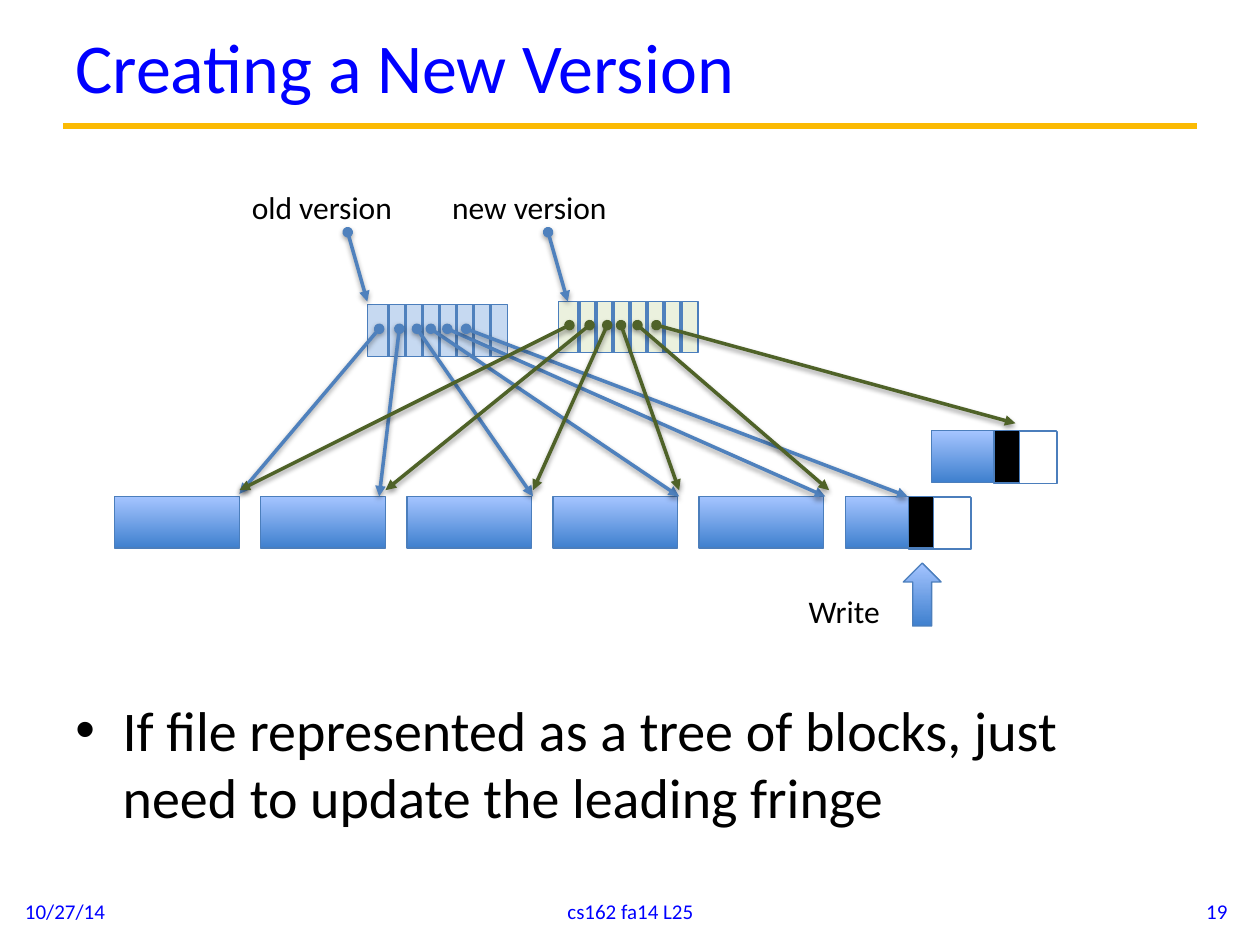
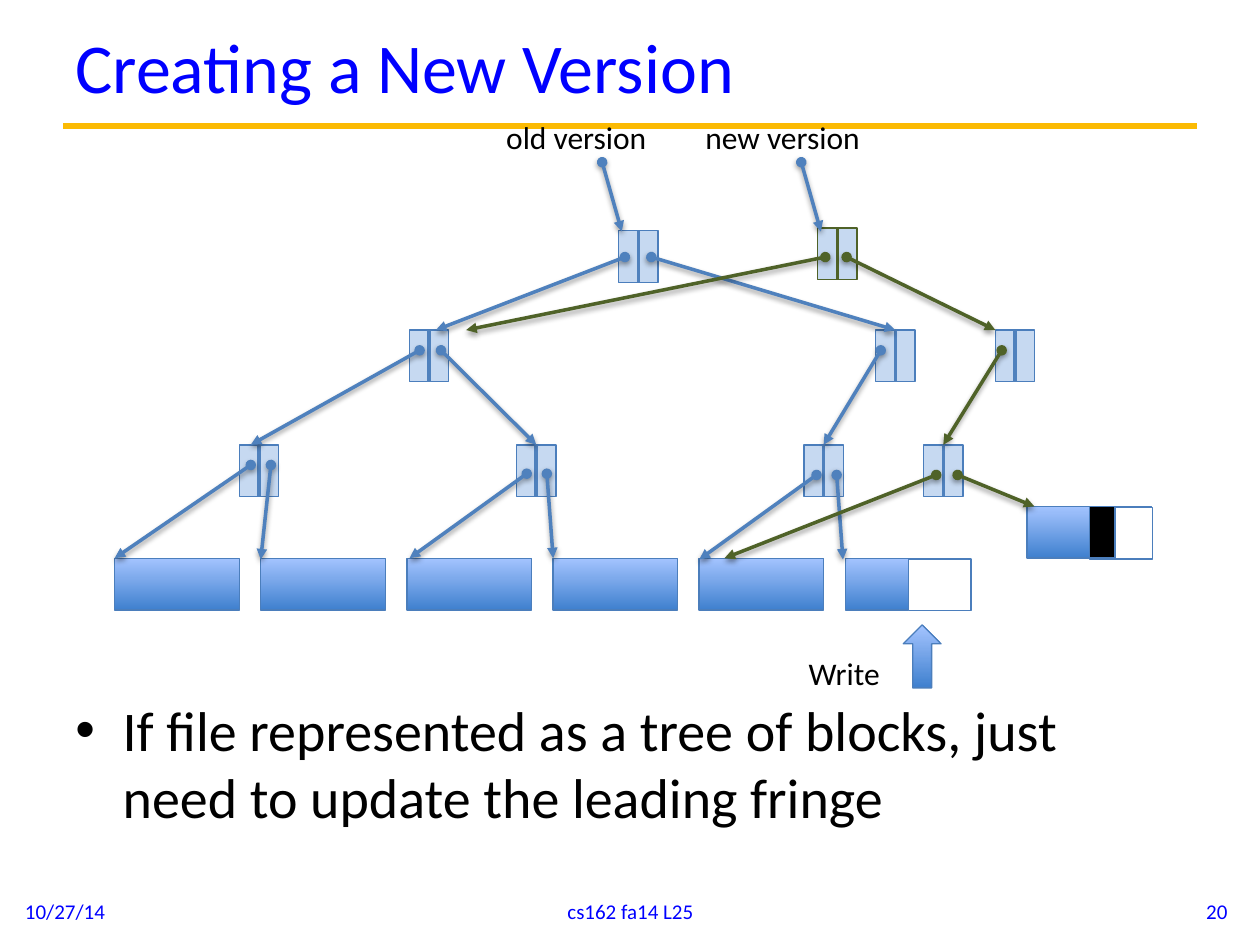
"""Two slides on versioned files: a flat block index and a block tree."""
from pptx import Presentation
from pptx import util as u
from pptx.dml.color import RGBColor
from pptx.enum import shapes, text
from pptx.oxml import parse_xml
from pptx.oxml.ns import nsdecls, qn
from lxml import etree

COLORS = {
    "title": "0000FF", "rule": "FBBA03", "ink": "000000", "paper": "FFFFFF",
    "edge": "4B7EBC", "old": "4F81BD", "new": "4F6228",
    "old_index": "C6D9F1", "new_index": "EBF1DE",
    "block_low": "3F80CE", "block_high": "A4C4FF",
}
FONT = "Calibri"
TITLE = "Creating a New Version"
POINT = "If file represented as a tree of blocks, just need to update the leading fringe"
DATE, COURSE = "10/27/14", "cs162 fa14 L25"

BLOCK_COUNT, BLOCK_LEFT, BLOCK_STEP = 6, 65.5, 83.5
BLOCK_WIDTH, HEIGHT, HALF = 71.3, 29.5, 36
WRITTEN_WIDTH = 14.4
INDEX_WIDTH, INDEX_CELLS, FIRST_CELL, CELL_STEP = 79.9, 8, 11.8, 9.72
NODE_WIDTH = 22.5

INDEX_SLOTS = [216.7, 228.2, 238.3, 246.2, 255.6, 266.4]
NEW_INDEX_SHIFT = 108.7
OLD_TIPS = [(136.8, 282.2), (216.7, 283.7), (304.6, 283.7), (388.1, 283.7),
            (471.6, 283.7), "last block"]
NEW_TIPS = [(136.8, 280.1), (220.3, 280.1), (304.6, 280.1), (388.1, 280.1),
            (473.8, 280.1), (580.3, 241.9)]

FLAT = {
    "number": "19", "block_top": 283.7, "fringe": (532.1, 246.2), "written": True,
    "labels": [("old version", 136.8, 103.7, 95.8), ("new version", 251.3, 103.7, 104.4)],
    "indexes": [(210.2, 174.2, "old_index"), (319, 172.1, "new_index")],
    "nodes": {},
    "pointers": {
        "old": [((slot, 187.9), tip) for slot, tip in zip(INDEX_SLOTS, OLD_TIPS)],
        "new": [((slot + NEW_INDEX_SHIFT, 185.8), tip)
                for slot, tip in zip(INDEX_SLOTS, NEW_TIPS)],
    },
}
TREE = {
    "number": "20", "block_top": 319, "fringe": (586.8, 289.4), "written": False,
    "labels": [("old version", 282.2, 63.7, 95.8), ("new version", 396, 63.7, 104.4)],
    "indexes": [],
    "nodes": {
        "old root": (353.5, 131.8, "edge", "old"),
        "new root": (467.3, 130.3, "new", "new"),
        "left": (234, 188.6, "edge", "old"),
        "old right": (500.4, 188.6, "edge", "old"),
        "new right": (568.8, 188.6, "edge", "old"),
        "first leaf": (136.8, 254.2, "edge", "old"),
        "second leaf": (295.2, 254.2, "edge", "old"),
        "old leaf": (459.4, 254.2, "edge", "old"),
        "new leaf": (527.8, 254.2, "edge", "old"),
    },
    "pointers": {
        "old": [
            ((357.1, 146.9), (249.1, 188.6)), ((372.2, 146.9), "old right"),
            ((239.8, 200.2), (143.3, 254.2)), ((252, 200.2), "second leaf"),
            ((503.3, 200.2), "old leaf"),
            ((143.3, 265.7), (65.5, 319)), ((154.8, 265.7), (149, 319.7)),
            ((301, 270.7), (234, 319)), ((312.5, 270.7), (316.1, 319)),
            ((466.6, 271.4), (399.6, 319.7)), ((478.1, 271.4), (481.7, 319.7)),
        ],
        "new": [
            ((471.6, 146.9), (266.4, 188.6)), ((483.8, 146.9), (568.8, 188.6)),
            ((572.4, 200.2), "new leaf"),
            ((535, 271.4), (414, 319)), ((547.2, 271.4), (591.1, 289.4)),
        ],
    },
}


def color(name):
    return RGBColor.from_string(COLORS[name])


def add_text(page, words, place, size, ink="ink", align=text.PP_ALIGN.LEFT,
             anchor=text.MSO_ANCHOR.TOP, wrap=True, bullet=False):
    box = page.shapes.add_textbox(*map(u.Pt, place))
    frame = box.text_frame
    frame.word_wrap = wrap
    frame.vertical_anchor = anchor
    para = frame.paragraphs[0]
    para.alignment = align
    if bullet:
        properties = para._p.get_or_add_pPr()
        properties.set("marL", str(u.Pt(27)))
        properties.set("indent", str(u.Pt(-27)))
        etree.SubElement(properties, qn("a:buFont")).set("typeface", "Arial")
        etree.SubElement(properties, qn("a:buChar")).set("char", "•")
    span = para.add_run()
    span.text = words
    span.font.name, span.font.size = FONT, u.Pt(size)
    span.font.color.rgb = color(ink)


def add_box(page, place, fill=None, edge="edge", kind=shapes.MSO_SHAPE.RECTANGLE):
    box = page.shapes.add_shape(kind, *map(u.Pt, place))
    box.shadow.inherit = False
    if fill:
        box.fill.solid()
        box.fill.fore_color.rgb = color(fill)
    else:
        box.fill.gradient()
        box.fill.gradient_angle = 90
        for stop, name in zip(box.fill.gradient_stops, ("block_low", "block_high")):
            stop.color.rgb = color(name)
    box.line.color.rgb = color(edge)
    box.line.width = u.Pt(0.75)
    return box


def add_line(page, start, end, ink, width=2, pointer=False):
    line = page.shapes.add_connector(shapes.MSO_CONNECTOR.STRAIGHT,
                                     *map(u.Pt, (*start, *end)))
    line.line.color.rgb = color(ink)
    line.line.width = u.Pt(width)
    shadow = ""
    if pointer:
        stroke = line.line._get_or_add_ln()
        etree.SubElement(stroke, qn("a:headEnd")).set("type", "oval")
        etree.SubElement(stroke, qn("a:tailEnd")).set("type", "triangle")
        shadow = (f'<a:outerShdw blurRad="{u.Pt(3.1)}" dist="{u.Pt(1.6)}" dir="5400000" '
                  'rotWithShape="0"><a:srgbClr val="000000"><a:alpha val="38000"/>'
                  '</a:srgbClr></a:outerShdw>')
    effects = parse_xml(f'<a:effectLst {nsdecls("a")}>{shadow}</a:effectLst>')
    line._element.spPr.append(effects)
    return line


def add_frame(page, number):
    middle = text.MSO_ANCHOR.MIDDLE
    add_line(page, (36, 72), (684, 72), "rule", 3.75)
    add_text(page, TITLE, (36, 2.9, 648, 69.1), 40, "title", anchor=middle)
    add_text(page, POINT, (36, 393.8, 648, 103), 32, bullet=True)
    footers = [(DATE, 7.2, 167.8, text.PP_ALIGN.LEFT),
               (COURSE, 246.2, 228.2, text.PP_ALIGN.CENTER),
               (number, 540.7, 167.8, text.PP_ALIGN.RIGHT)]
    for words, left, width, align in footers:
        add_text(page, words, (left, 506.2, width, 28.8), 12, "title", align, middle)


def add_partial_block(page, left, top, written):
    block = add_box(page, (left, top, BLOCK_WIDTH, HEIGHT))
    add_box(page, (left + HALF, top + 0.5, HALF, HEIGHT), "paper")
    if written:
        add_box(page, (left + HALF, top, WRITTEN_WIDTH, HEIGHT), "ink")
    return block


def add_index(page, left, top, fill):
    add_box(page, (left, top, INDEX_WIDTH, HEIGHT), fill)
    for cell in range(INDEX_CELLS - 1):
        x = left + FIRST_CELL + cell * CELL_STEP
        add_line(page, (x, top), (x, top + HEIGHT), "old")


def add_node(page, left, top, edge, divider_ink):
    node = add_box(page, (left, top, NODE_WIDTH, HEIGHT), "old_index", edge)
    divider = add_line(page, (left, top), (left, top + HEIGHT), divider_ink)
    divider.begin_connect(node, 0)
    divider.end_connect(node, 2)
    return node


def add_pointer(page, start, tip, ink, targets):
    if tip in targets:
        pointer = add_line(page, start, start, ink, pointer=True)
        pointer.end_connect(targets[tip], 0)
    else:
        add_line(page, start, tip, ink, pointer=True)


def build_page(deck, content):
    page = deck.slides.add_slide(deck.slide_layouts[6])
    add_frame(page, content["number"])
    top = content["block_top"]
    lefts = [BLOCK_LEFT + BLOCK_STEP * i for i in range(BLOCK_COUNT)]
    for left in lefts[:-1]:
        add_box(page, (left, top, BLOCK_WIDTH, HEIGHT))
    targets = {"last block": add_partial_block(page, lefts[-1], top, content["written"])}
    add_partial_block(page, *content["fringe"], True)
    add_box(page, (516.2, top + 38.1, 21.6, 36), kind=shapes.MSO_SHAPE.UP_ARROW)
    add_text(page, "Write", (455, top + 51.1, 56.2, 28.8), 18, wrap=False)
    for index in content["indexes"]:
        add_index(page, *index)
    for name, node in content["nodes"].items():
        targets[name] = add_node(page, *node)
    for ink, pointers in content["pointers"].items():
        for start, tip in pointers:
            add_pointer(page, start, tip, ink, targets)
    for words, left, label_top, width in content["labels"]:
        add_text(page, words, (left, label_top, width, 28.8), 18, wrap=False)
        x, y = left + 61.9, label_top + 29
        add_line(page, (x, y), (x + 11.2, y + 39.6), "old", pointer=True)


def main():
    deck = Presentation()
    deck.slide_width, deck.slide_height = u.Pt(720), u.Pt(540)
    for content in (FLAT, TREE):
        build_page(deck, content)
    deck.save("out.pptx")


if __name__ == "__main__":
    main()
